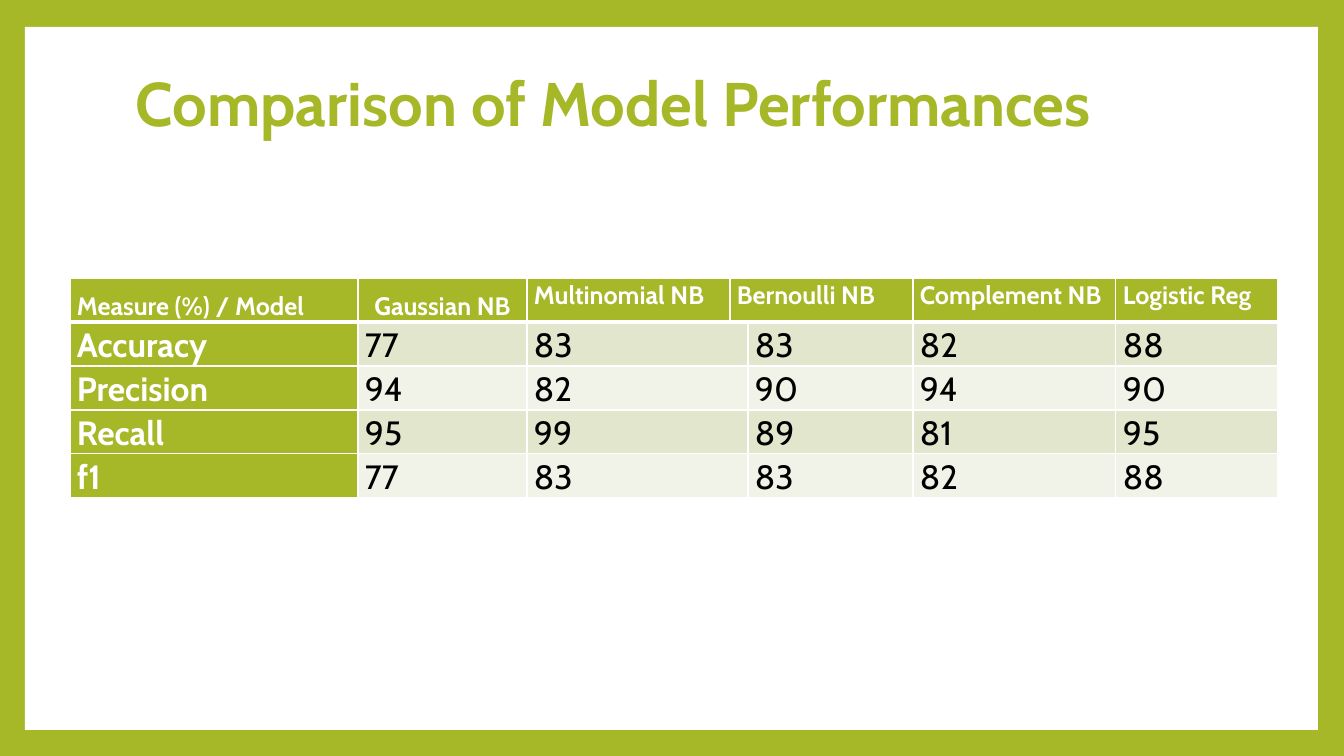
from lxml.etree import SubElement
from pptx import Presentation
from pptx.dml.color import RGBColor
from pptx.enum.shapes import MSO_SHAPE
from pptx.enum.text import MSO_ANCHOR, PP_ALIGN
from pptx.oxml.ns import qn
from pptx.util import Emu, Pt

GREEN = RGBColor(0xA6, 0xB7, 0x27)
WHITE = RGBColor(0xFF, 0xFF, 0xFF)
BLACK = RGBColor(0x00, 0x00, 0x00)
BANDS = (RGBColor(0xE1, 0xE6, 0xCD), RGBColor(0xF1, 0xF3, 0xE8))
FONT = "Cabin"

COLUMN_WIDTHS = (288, 169, 203, 18, 165, 203, 162)
ROW_HEIGHT = 44
HEADINGS = ("Measure (%) / Model", "Gaussian NB", "Multinomial NB",
            "Bernoulli NB", "Complement NB", "Logistic Reg")
SCORES = (
    ("Accuracy", "77", "83", "83", "82", "88"),
    ("Precision", "94", "82", "90", "94", "90"),
    ("Recall", "95", "99", "89", "81", "95"),
    ("f1", "77", "83", "83", "82", "88"),
)
HEADING_COLUMNS = (0, 1, 2, 3, 5, 6)
SCORE_COLUMNS = (0, 1, 2, 4, 5, 6)


def px(count):
    """Turn pixels into EMU."""
    return Emu(round(count * 914400 / 100.8))


def style_paragraph(para, size, color, bold, spacing):
    """Set the line spacing and format the runs of a paragraph."""
    para.line_spacing = spacing
    for span in para.runs:
        span.font.name = FONT
        span.font.size = Pt(size)
        span.font.bold = bold
        span.font.color.rgb = color


def add_panel(page, left, top, width, height):
    """Add the white panel inside the green frame."""
    panel = page.shapes.add_shape(MSO_SHAPE.RECTANGLE, px(left), px(top), px(width), px(height))
    panel.shadow.inherit = False
    panel.fill.solid()
    panel.fill.fore_color.rgb = WHITE
    panel.line.fill.background()


def add_title(page, text, left, top, width, height):
    """Add the slide title."""
    box = page.shapes.add_textbox(px(left), px(top), px(width), px(height))
    frame = box.text_frame
    frame.word_wrap = True
    frame.vertical_anchor = MSO_ANCHOR.TOP
    frame.text = text
    style_paragraph(frame.paragraphs[0], 44, GREEN, True, 0.9)


def set_borders(cell, top, bottom):
    """Draw white borders with the given top and bottom widths in points."""
    properties = cell._tc.get_or_add_tcPr()
    for side, width in (("L", 1), ("R", 1), ("T", top), ("B", bottom)):
        line = SubElement(properties, qn(f"a:ln{side}"), w=str(Pt(width)))
        fill = SubElement(line, qn("a:solidFill"))
        SubElement(fill, qn("a:srgbClr"), val=str(WHITE))


def style_cell(cell, row, column):
    """Set borders, fill and margins according to the place in the table."""
    set_borders(cell, 3 if row == 1 else 1, 3 if row == 0 else 1)
    cell.fill.solid()
    cell.fill.fore_color.rgb = GREEN if row == 0 or column == 0 else BANDS[(row - 1) % 2]
    cell.margin_left = cell.margin_right = px(7)
    cell.margin_top = cell.margin_bottom = 0
    cell.vertical_anchor = MSO_ANCHOR.TOP if row == 0 and column > 1 else MSO_ANCHOR.BOTTOM


def fill_row(table, row, texts, columns):
    """Write one table row, merging cells over any skipped column."""
    for column in range(len(COLUMN_WIDTHS)):
        style_cell(table.cell(row, column), row, column)
        if column not in columns:
            table.cell(row, column - 1).merge(table.cell(row, column))
    for column, text in zip(columns, texts):
        para = table.cell(row, column).text_frame.paragraphs[0]
        para.text = text
        heading = row == 0 or column == 0
        style_paragraph(para, 24 if row else 18, WHITE if heading else BLACK, heading, 1.07)


def add_score_table(page, left, top):
    """Add the table of scores by measure and model."""
    frame = page.shapes.add_table(
        len(SCORES) + 1, len(COLUMN_WIDTHS), px(left), px(top),
        px(sum(COLUMN_WIDTHS)), px(ROW_HEIGHT * (len(SCORES) + 1)))
    table = frame.table
    for column, width in zip(table.columns, COLUMN_WIDTHS):
        column.width = px(width)
    for row in table.rows:
        row.height = px(ROW_HEIGHT)
    fill_row(table, 0, HEADINGS, HEADING_COLUMNS)
    for index, scores in enumerate(SCORES, start=1):
        fill_row(table, index, scores, SCORE_COLUMNS)
    table.cell(0, 1).text_frame.paragraphs[0].alignment = PP_ALIGN.CENTER


def main():
    """Build the slide and save it."""
    deck = Presentation()
    deck.slide_width, deck.slide_height = px(1344), px(756)
    page = deck.slides.add_slide(deck.slide_layouts[6])
    page.background.fill.solid()
    page.background.fill.fore_color.rgb = GREEN
    add_panel(page, 25, 27, 1293, 703)
    add_title(page, "Comparison of Model Performances", 126, 68, 1089, 149)
    add_score_table(page, 70, 278)
    deck.save("out.pptx")


if __name__ == "__main__":
    main()
